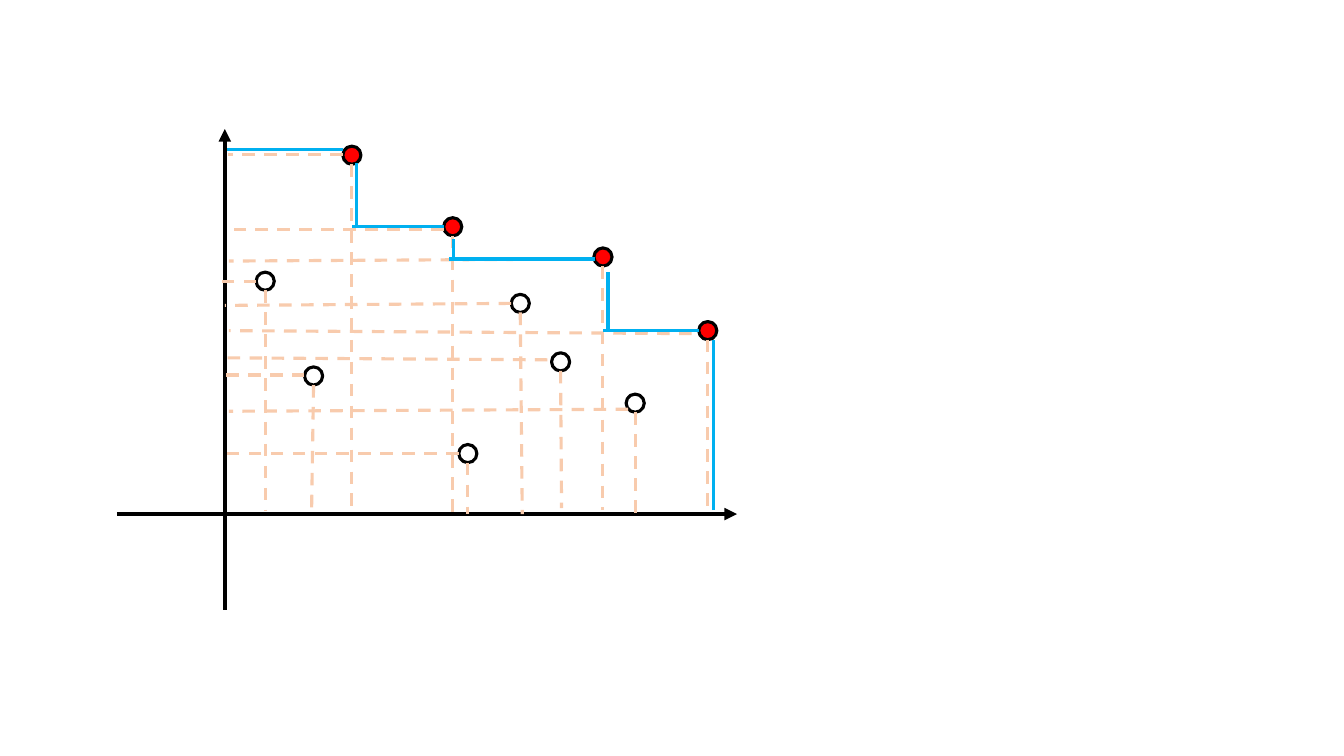
from typing import NamedTuple

from lxml import etree
from pptx import Presentation
from pptx.dml.color import RGBColor
from pptx.enum.dml import MSO_LINE
from pptx.enum.shapes import MSO_CONNECTOR, MSO_SHAPE
from pptx.oxml.ns import qn
from pptx.slide import Slide
from pptx.util import Inches, Pt

BLACK = RGBColor(0x00, 0x00, 0x00)
WHITE = RGBColor(0xFF, 0xFF, 0xFF)
RED = RGBColor(0xFF, 0x00, 0x00)
PEACH = RGBColor(0xF8, 0xCB, 0xAD)
BLUE = RGBColor(0x00, 0xB0, 0xF0)

STRAIGHT = MSO_CONNECTOR.STRAIGHT
OVAL = MSO_SHAPE.OVAL
DASH = MSO_LINE.DASH

DOT_SIZE = 0.18
AXIS_WIDTH = 3
LINE_WIDTH = 2.25


class Segment(NamedTuple):
    x1: float
    y1: float
    x2: float
    y2: float


class Dot(NamedTuple):
    left: float
    top: float
    fill: RGBColor
    drop_x: float
    drop_y: float
    guide: Segment


AXES = [Segment(2.23, 6.05, 2.23, 1.28), Segment(1.16, 5.1, 7.31, 5.1)]

DOTS = [
    Dot(4.55, 4.41, WHITE, 4.64, 5.1, Segment(4.55, 4.5, 2.23, 4.5)),
    Dot(2.54, 2.7, WHITE, 2.63, 5.06, Segment(2.54, 2.79, 2.19, 2.79)),
    Dot(3.02, 3.64, WHITE, 3.09, 5.1, Segment(3.02, 3.72, 2.2, 3.72)),
    Dot(4.4, 2.16, RED, 4.49, 5.16, Segment(4.4, 2.28, 2.26, 2.28)),
    Dot(5.07, 2.92, WHITE, 5.18, 5.1, Segment(5.07, 3.01, 2.23, 3.03)),
    Dot(5.47, 3.5, WHITE, 5.57, 5.04, Segment(5.43, 3.57, 2.25, 3.55)),
    Dot(5.89, 2.46, RED, 5.98, 5.06, Segment(5.8, 2.57, 2.27, 2.59)),
    Dot(6.21, 3.91, WHITE, 6.3, 5.1, Segment(6.23, 4.06, 2.27, 4.08)),
    Dot(6.93, 3.19, RED, 7.02, 5.06, Segment(6.86, 3.31, 2.27, 3.28)),
    Dot(3.4, 1.45, RED, 3.49, 5.1, Segment(3.4, 1.53, 2.26, 1.53)),
]

STAIRCASE = [
    Segment(3.4, 1.48, 2.25, 1.48),
    Segment(4.4, 2.25, 3.49, 2.25),
    Segment(5.9, 2.57, 4.45, 2.57),
    Segment(6.93, 3.28, 5.98, 3.28),
    Segment(3.54, 2.25, 3.54, 1.62),
    Segment(6.03, 3.28, 6.03, 2.7),
    Segment(4.5, 2.57, 4.5, 2.37),
    Segment(7.08, 5.06, 7.08, 3.37),
]


def add_line(s: Slide, seg: Segment, color: RGBColor, width: float = LINE_WIDTH,
             dashed: bool = False, arrow: bool = False) -> None:
    sp = s.shapes.add_connector(STRAIGHT, *(Inches(v) for v in seg))
    sp.line.color.rgb = color
    sp.line.width = Pt(width)
    if dashed:
        sp.line.dash_style = DASH
    if arrow:
        ln = sp.line._get_or_add_ln()
        etree.SubElement(ln, qn("a:tailEnd"), type="triangle")
    etree.SubElement(sp._element.spPr, qn("a:effectLst"))


def add_dot(s: Slide, dot: Dot) -> None:
    sp = s.shapes.add_shape(OVAL, Inches(dot.left), Inches(dot.top),
                            Inches(DOT_SIZE), Inches(DOT_SIZE))
    sp.shadow.inherit = False
    sp.fill.solid()
    sp.fill.fore_color.rgb = dot.fill
    sp.line.color.rgb = BLACK
    sp.line.width = Pt(LINE_WIDTH)


def main() -> None:
    prs = Presentation()
    prs.slide_width = Inches(13.33)
    prs.slide_height = Inches(7.5)
    s = prs.slides.add_slide(prs.slide_layouts[6])

    for axis in AXES:
        add_line(s, axis, BLACK, AXIS_WIDTH, arrow=True)
    for dot in DOTS:
        add_dot(s, dot)
    for dot in DOTS:
        drop = Segment(dot.left + DOT_SIZE / 2, dot.top + DOT_SIZE, dot.drop_x, dot.drop_y)
        add_line(s, drop, PEACH, dashed=True)
        add_line(s, dot.guide, PEACH, dashed=True)
    for step in STAIRCASE:
        add_line(s, step, BLUE)

    prs.save("out.pptx")


if __name__ == "__main__":
    main()
